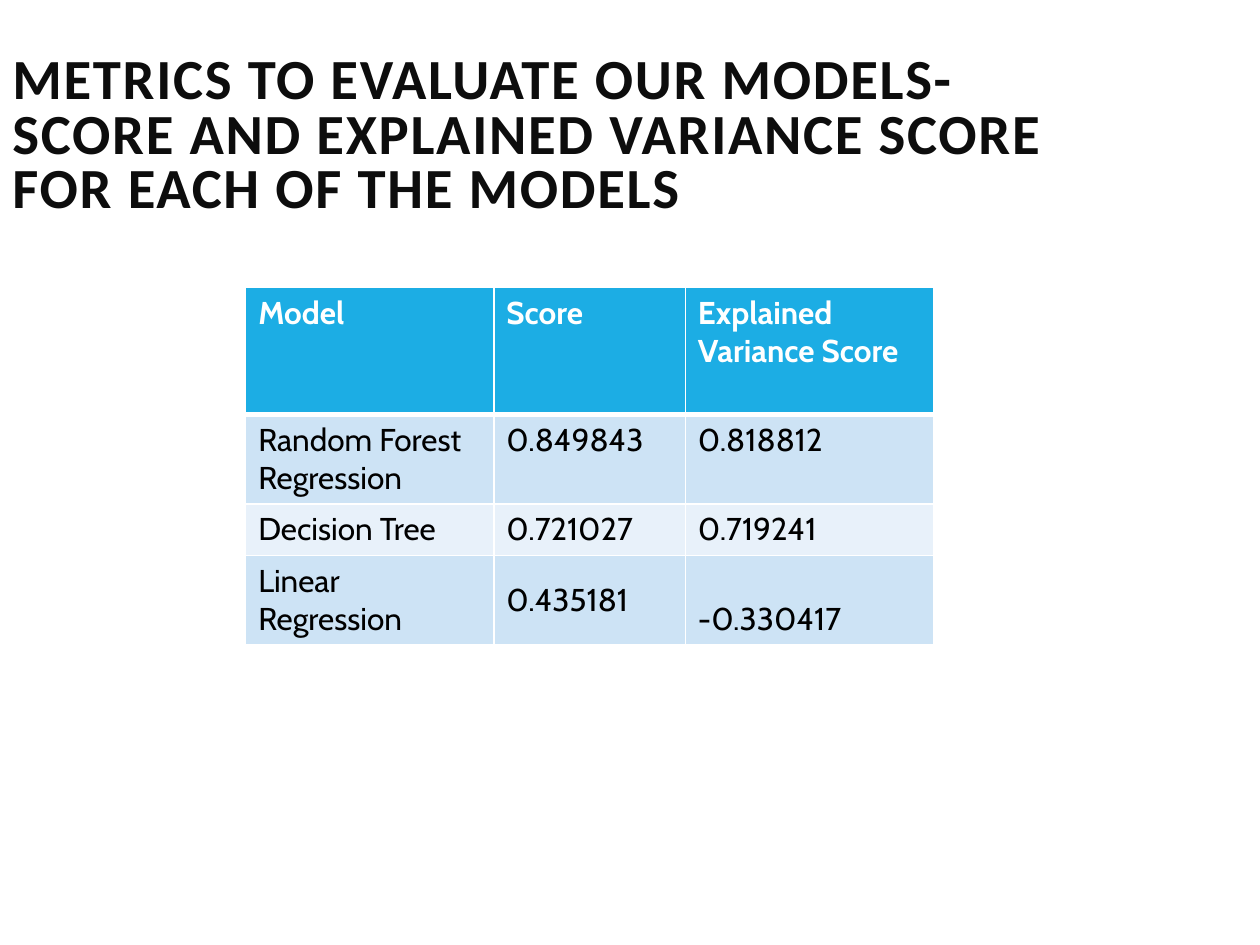
import pptx
import pptx.dml.color
import pptx.enum.text
import pptx.oxml
import pptx.oxml.ns
import pptx.util

Inches = pptx.util.Inches
Pt = pptx.util.Pt
RGBColor = pptx.dml.color.RGBColor
Anchor = pptx.enum.text.MSO_ANCHOR

WHITE = RGBColor(0xFF, 0xFF, 0xFF)
BLACK = RGBColor(0, 0, 0)
TITLE_COLOR = RGBColor(0x0D, 0x0D, 0x0D)
HEADER_FILL = RGBColor(0x1C, 0xAD, 0xE4)
BAND_FILLS = (RGBColor(0xE8, 0xF1, 0xFA), RGBColor(0xCD, 0xE3, 0xF5))

TITLE = "METRICS TO EVALUATE OUR MODELS- SCORE AND EXPLAINED VARIANCE SCORE FOR EACH OF THE MODELS"
TITLE_FORMAT = {"name": "Calibri", "size": Pt(32.4), "bold": True}
HEADER_FORMAT = {"name": "Cabin", "size": Pt(18), "bold": True}
BODY_FORMAT = {**HEADER_FORMAT, "bold": False}

COLUMN_WIDTHS = (1.97, 1.52, 1.97)
ROW_HEIGHTS = (1.01, 0.71, 0.41, 0.71)
SCORES = (
    ("Model", "Score", "Explained Variance Score"),
    ("Random Forest Regression", "0.849843", "0.818812"),
    ("Decision Tree", "0.721027", "0.719241"),
    ("Linear Regression", "0.435181", "-0.330417"),
)
CELL_ANCHORS = {(3, 1): Anchor.MIDDLE, (3, 2): Anchor.BOTTOM}


def format_font(font, values, color):
    """Apply a dict of font values and a colour."""
    for name, value in values.items():
        setattr(font, name, value)
    font.color.rgb = color


def add_title(slide):
    """Add the slide heading, which ends with a line break."""
    shape = slide.shapes.add_textbox(Inches(0), Inches(0.64), Inches(8.62), Inches(1.51))
    frame = shape.text_frame
    frame.word_wrap = True
    frame.vertical_anchor = Anchor.MIDDLE
    paragraph = frame.paragraphs[0]
    paragraph.line_spacing = 0.8
    format_font(paragraph.font, {**TITLE_FORMAT, "size": Pt(36)}, TITLE_COLOR)
    run = paragraph.add_run()
    run.text = TITLE
    format_font(run.font, TITLE_FORMAT, TITLE_COLOR)
    run.font._element.set("spc", "100")
    paragraph.add_line_break()


def set_borders(cell, bottom_width):
    """Draw white borders around a cell."""
    properties = cell._tc.get_or_add_tcPr()
    widths = {"lnL": 1, "lnR": 1, "lnT": 1, "lnB": bottom_width}
    for position, (tag, width) in enumerate(widths.items()):
        line = pptx.oxml.parse_xml(
            f'<a:{tag} {pptx.oxml.ns.nsdecls("a")} w="{Pt(width)}">'
            f'<a:solidFill><a:srgbClr val="{WHITE}"/></a:solidFill></a:{tag}>'
        )
        properties.insert(position, line)


def fill_cell(cell, text, row):
    """Write and style one cell according to its row."""
    is_header = row == 0
    cell.text = text
    format_font(
        cell.text_frame.paragraphs[0].runs[0].font,
        HEADER_FORMAT if is_header else BODY_FORMAT,
        WHITE if is_header else BLACK,
    )
    cell.fill.solid()
    cell.fill.fore_color.rgb = HEADER_FILL if is_header else BAND_FILLS[row % 2]
    set_borders(cell, 3 if is_header else 1)


def add_score_table(slide):
    """Add the table of scores for each model."""
    table = slide.shapes.add_table(
        len(SCORES), len(COLUMN_WIDTHS), Inches(1.95), Inches(2.28),
        Inches(sum(COLUMN_WIDTHS)), Inches(sum(ROW_HEIGHTS)),
    ).table
    for column, width in zip(table.columns, COLUMN_WIDTHS):
        column.width = Inches(width)
    for row, (height, texts) in enumerate(zip(ROW_HEIGHTS, SCORES)):
        table.rows[row].height = Inches(height)
        for column, text in enumerate(texts):
            cell = table.cell(row, column)
            fill_cell(cell, text, row)
            cell.vertical_anchor = CELL_ANCHORS.get((row, column), Anchor.TOP)


def main():
    """Build and save the slide."""
    presentation = pptx.Presentation()
    presentation.slide_width = Inches(10)
    presentation.slide_height = Inches(7.5)
    slide = presentation.slides.add_slide(presentation.slide_layouts[6])
    add_title(slide)
    add_score_table(slide)
    presentation.save("out.pptx")


if __name__ == "__main__":
    main()
